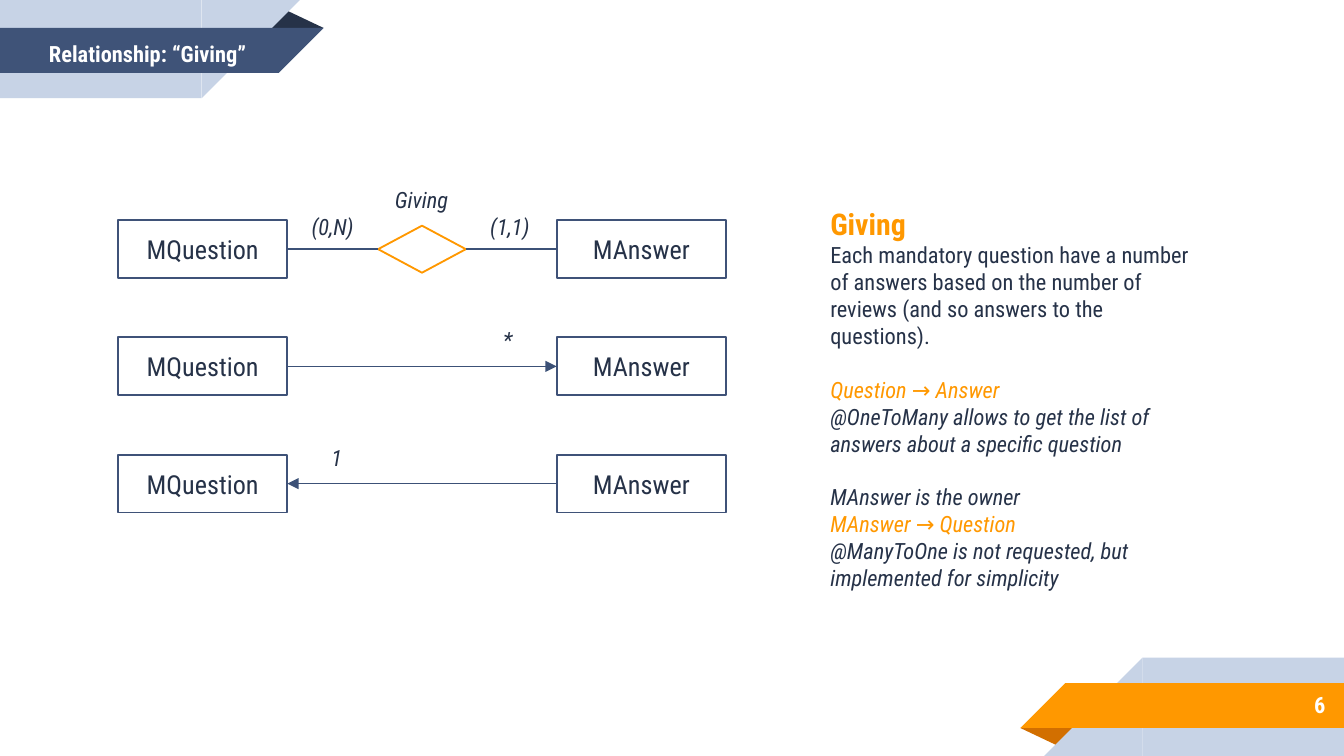
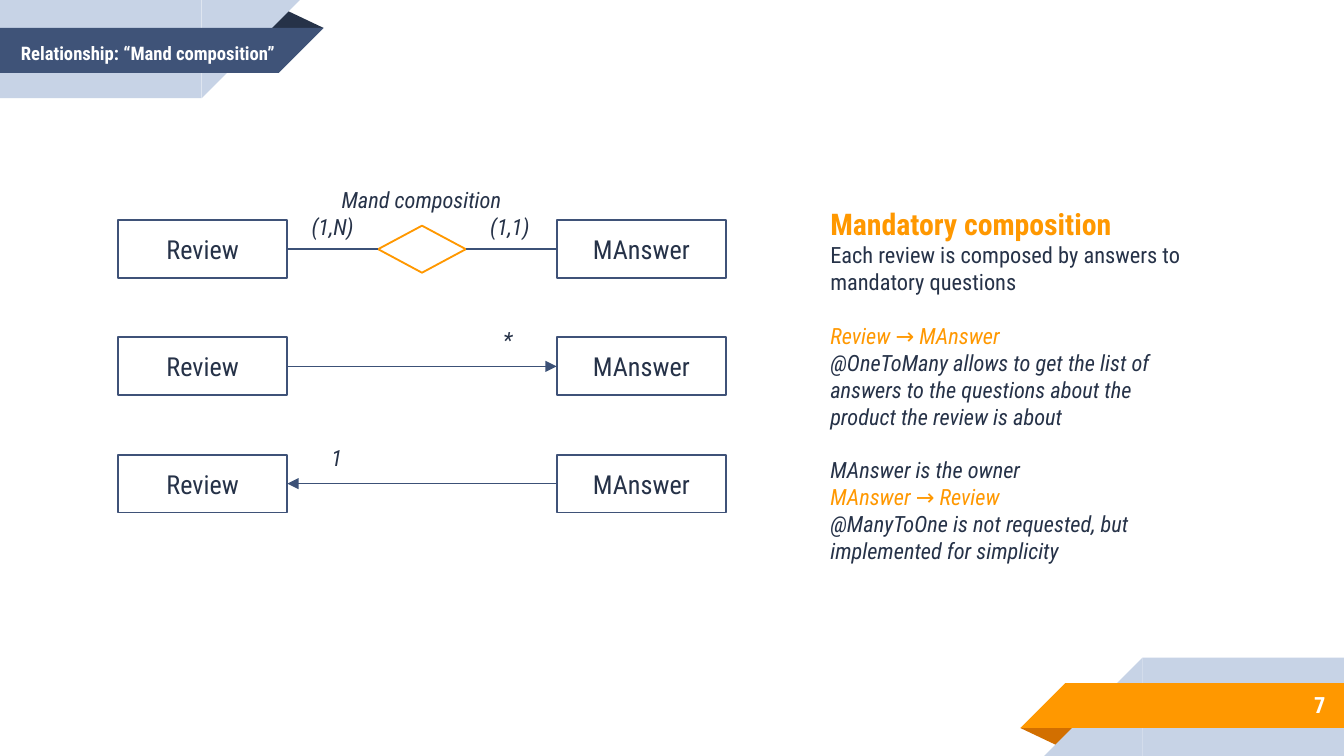
from lxml import etree
from pptx import Presentation
from pptx.dml.color import RGBColor
from pptx.enum.shapes import MSO_CONNECTOR as Connector, MSO_SHAPE as Shape
from pptx.enum.text import MSO_ANCHOR as Anchor, MSO_AUTO_SIZE as AutoSize, PP_ALIGN as Align
from pptx.oxml.ns import qn
from pptx.util import Pt

FONT = "Roboto Condensed"
WHITE = RGBColor(0xFF, 0xFF, 0xFF)
INK = RGBColor(0x26, 0x32, 0x48)
NAVY = RGBColor(0x3F, 0x53, 0x78)
BOX_LINE = RGBColor(0x3F, 0x52, 0x78)
LINK_LINE = RGBColor(0x3C, 0x51, 0x77)
PALE = RGBColor(0xC7, 0xD3, 0xE6)
ORANGE = RGBColor(0xFF, 0x98, 0x00)
BURNT = RGBColor(0xD2, 0x6F, 0x00)

WIDTH, HEIGHT = 720, 405
BOX_WIDTH, BOX_HEIGHT = 90.8, 31
LEFT_BOX, RIGHT_BOX = 63.2, 298.2
FIRST_ROW, ROW_STEP = 118, 62.8
LABEL_WIDTH, LABEL_HEIGHT = 46.8, 19.4
DIAMOND_WIDTH, DIAMOND_HEIGHT = 47, 25.2
LEFT_SITE, RIGHT_SITE = 1, 3  # connection sites of rectangles and diamonds
BLANK_LINE = 14.4

TITLE = {"size": Pt(12), "color": WHITE, "bold": True}
PAGE = TITLE
ENTITY = {"size": Pt(14), "color": INK}
LABEL = {"size": Pt(12), "color": INK, "italic": True}
HEADING = {"size": Pt(16), "color": ORANGE, "bold": True}
PLAIN = {"size": Pt(12), "color": INK}
NOTE = {"size": Pt(12), "color": INK, "italic": True}
DIRECTION = {"size": Pt(12), "color": ORANGE, "italic": True}

SLIDES = [
    {
        "page": "6",
        "title": "Relationship: “Giving”",
        "title_size": 12,
        "entity": "MQuestion",
        "relation": "Giving",
        "relation_box": (189.4, 72.8),
        "cardinality": "(0,N)",
        "body_height": 230.4,
        "body": [
            ("Giving", HEADING, 0),
            ("Each mandatory question have a number of answers based on the "
             "number of reviews (and so answers to the questions).", PLAIN, 0),
            ("Question → Answer", DIRECTION, BLANK_LINE),
            ("@OneToMany allows to get the list of answers about a specific question", NOTE, 0),
        ],
        "owner_target": "Question",
    },
    {
        "page": "7",
        "title": "Relationship: “Mand composition”",
        "title_size": 10,
        "entity": "Review",
        "relation": "Mand composition",
        "relation_box": (163.2, 125.2),
        "cardinality": "(1,N)",
        "body_height": 216,
        "body": [
            ("Mandatory composition", HEADING, 0),
            ("Each review is composed by answers to mandatory questions", PLAIN, 0),
            ("Review → MAnswer", DIRECTION, BLANK_LINE),
            ("@OneToMany allows to get the list of answers to the questions "
             "about the product the review is about", NOTE, 0),
        ],
        "owner_target": "Review",
    },
]


def place(shape, left, top, width, height):
    shape.left, shape.top = Pt(left), Pt(top)
    shape.width, shape.height = Pt(width), Pt(height)


def write(paragraph, text, style, align=Align.LEFT, before=0):
    paragraph.alignment = align
    paragraph.space_before = Pt(before)
    run = paragraph.add_run()
    run.text = text
    run.font.name = FONT
    for name, value in style.items():
        if name == "color":
            run.font.color.rgb = value
        else:
            setattr(run.font, name, value)


def set_frame(frame, anchor, vertical_inset):
    settings = {
        "word_wrap": True,
        "auto_size": AutoSize.NONE,
        "vertical_anchor": anchor,
        "margin_left": Pt(7.2),
        "margin_right": Pt(7.2),
        "margin_top": Pt(vertical_inset),
        "margin_bottom": Pt(vertical_inset),
    }
    for name, value in settings.items():
        setattr(frame, name, value)


def add_filled(slide, kind, left, top, width, height, fill, outline=None, rotation=0):
    shape = slide.shapes.add_shape(kind, Pt(left), Pt(top), Pt(width), Pt(height))
    shape.shadow.inherit = False
    shape.rotation = rotation
    shape.fill.solid()
    shape.fill.fore_color.rgb = fill
    if outline is None:
        shape.line.fill.background()
    else:
        shape.line.color.rgb = outline
        shape.line.width = Pt(1)
    return shape


def add_text(slide, box, text, style, align=Align.CENTER, before=0):
    shape = slide.shapes.add_textbox(*map(Pt, box))
    set_frame(shape.text_frame, Anchor.MIDDLE, 7.2)
    write(shape.text_frame.paragraphs[0], text, style, align, before)


def add_label(slide, left, top, text, width=LABEL_WIDTH):
    add_text(slide, (left, top, width, LABEL_HEIGHT), text, LABEL, before=6)


def add_entity(slide, left, top, name):
    box = add_filled(slide, Shape.RECTANGLE, left, top, BOX_WIDTH, BOX_HEIGHT, WHITE, BOX_LINE)
    set_frame(box.text_frame, Anchor.MIDDLE, 3.6)
    write(box.text_frame.paragraphs[0], name, ENTITY, Align.CENTER)
    return box


def add_link(slide, start, start_site, end, end_site, arrow=False):
    link = slide.shapes.add_connector(Connector.STRAIGHT, 0, 0, 0, 0)
    link.begin_connect(start, start_site)
    link.end_connect(end, end_site)
    link.line.color.rgb = LINK_LINE
    link.line.width = Pt(0.75)
    properties = link.element.spPr
    if arrow:
        etree.SubElement(properties.find(qn("a:ln")), qn("a:tailEnd"), type="triangle")
    etree.SubElement(properties, qn("a:effectLst"))


def add_ribbons(slide):
    """Draw the title ribbon and the page ribbon, and return their parts."""
    fold_width, fold_height = 31, 10
    pale_length, pale_height = 108, 52.6
    band_length, band_height = 149.4, 24
    band_top = 15
    page_band_top = HEIGHT - band_top - band_height
    title_fold = add_filled(slide, Shape.ISOSCELES_TRIANGLE, 142.4, band_top - fold_height,
                            fold_width, fold_height, INK)
    page_fold = add_filled(slide, Shape.ISOSCELES_TRIANGLE, WIDTH - 142.4 - fold_width,
                           HEIGHT - band_top, fold_width, fold_height, BURNT, rotation=180)
    parts = [title_fold, page_fold]
    for fold in parts:
        fold.adjustments[0] = 0.32
    layers = [
        (0, pale_length, pale_height, PALE, PALE),
        (band_top, band_length, band_height, NAVY, ORANGE),
    ]
    for top, length, height, title_fill, page_fill in layers:
        page_top = HEIGHT - top - height
        parts += [
            add_filled(slide, Shape.RECTANGLE, 0, top, length, height, title_fill),
            add_filled(slide, Shape.RIGHT_TRIANGLE, length, top, height, height,
                       title_fill, rotation=90),
            add_filled(slide, Shape.RECTANGLE, WIDTH - length, page_top, length, height,
                       page_fill),
            add_filled(slide, Shape.RIGHT_TRIANGLE, WIDTH - length - height, page_top,
                       height, height, page_fill, rotation=270),
        ]
    return parts


def move_to_layout(shapes, layout):
    for number, shape in enumerate(shapes, start=100):
        shape.element.nvSpPr.cNvPr.set("id", str(number))
        layout.shapes.element.append(shape.element)


def fill_title(slide, content):
    title = slide.shapes.title
    place(title, 1.4, 16.6, 155.5, 24)
    set_frame(title.text_frame, Anchor.MIDDLE, 7.2)
    style = {**TITLE, "size": Pt(content["title_size"])}
    write(title.text_frame.paragraphs[0], content["title"], style, Align.CENTER)


def fill_body(slide, content):
    body = slide.placeholders[1]
    place(body, 437.6, 106.6, 207.4, content["body_height"])
    frame = body.text_frame
    set_frame(frame, Anchor.TOP, 3.6)
    lines = content["body"] + [
        ("MAnswer is the owner", NOTE, BLANK_LINE),
        (f"MAnswer → {content['owner_target']}", DIRECTION, 0),
        ("@ManyToOne is not requested, but implemented for simplicity", NOTE, 0),
    ]
    for index, (text, style, before) in enumerate(lines):
        paragraph = frame.add_paragraph() if index else frame.paragraphs[0]
        write(paragraph, text, style, before=before)
        properties = paragraph._p.get_or_add_pPr()
        properties.set("marL", "0")
        properties.set("indent", "0")
        etree.SubElement(properties, qn("a:buNone"))


def draw_relationship(slide, content):
    rows = []
    for row in range(3):
        top = FIRST_ROW + row * ROW_STEP
        rows.append((add_entity(slide, LEFT_BOX, top, content["entity"]),
                     add_entity(slide, RIGHT_BOX, top, "MAnswer")))
    (entity, answer), (one, many), (target, owner) = rows

    diamond_left = (LEFT_BOX + RIGHT_BOX + BOX_WIDTH - DIAMOND_WIDTH) / 2
    diamond_top = FIRST_ROW + (BOX_HEIGHT - DIAMOND_HEIGHT) / 2
    diamond = add_filled(slide, Shape.DIAMOND, diamond_left, diamond_top,
                         DIAMOND_WIDTH, DIAMOND_HEIGHT, WHITE, ORANGE)
    add_link(slide, entity, RIGHT_SITE, diamond, LEFT_SITE)
    add_link(slide, diamond, RIGHT_SITE, answer, LEFT_SITE)
    add_link(slide, one, RIGHT_SITE, many, LEFT_SITE, arrow=True)
    add_link(slide, owner, LEFT_SITE, target, RIGHT_SITE, arrow=True)

    relation_left, relation_width = content["relation_box"]
    add_label(slide, relation_left, 97.2, content["relation"], relation_width)
    add_label(slide, 154.8, 111.6, content["cardinality"])
    add_label(slide, 249.8, 111.6, "(1,1)")
    add_label(slide, 248.6, 172.2, "*")
    add_label(slide, 157, 235.4, "1")


def main():
    presentation = Presentation()
    presentation.slide_width, presentation.slide_height = Pt(WIDTH), Pt(HEIGHT)
    layout = presentation.slide_layouts[1]
    for index, content in enumerate(SLIDES):
        slide = presentation.slides.add_slide(layout)
        if index == 0:
            move_to_layout(add_ribbons(slide), layout)
        fill_title(slide, content)
        fill_body(slide, content)
        add_text(slide, (599.8, 365, 117.4, 25.2), content["page"], PAGE, Align.RIGHT)
        draw_relationship(slide, content)
    presentation.save("out.pptx")


if __name__ == "__main__":
    main()
